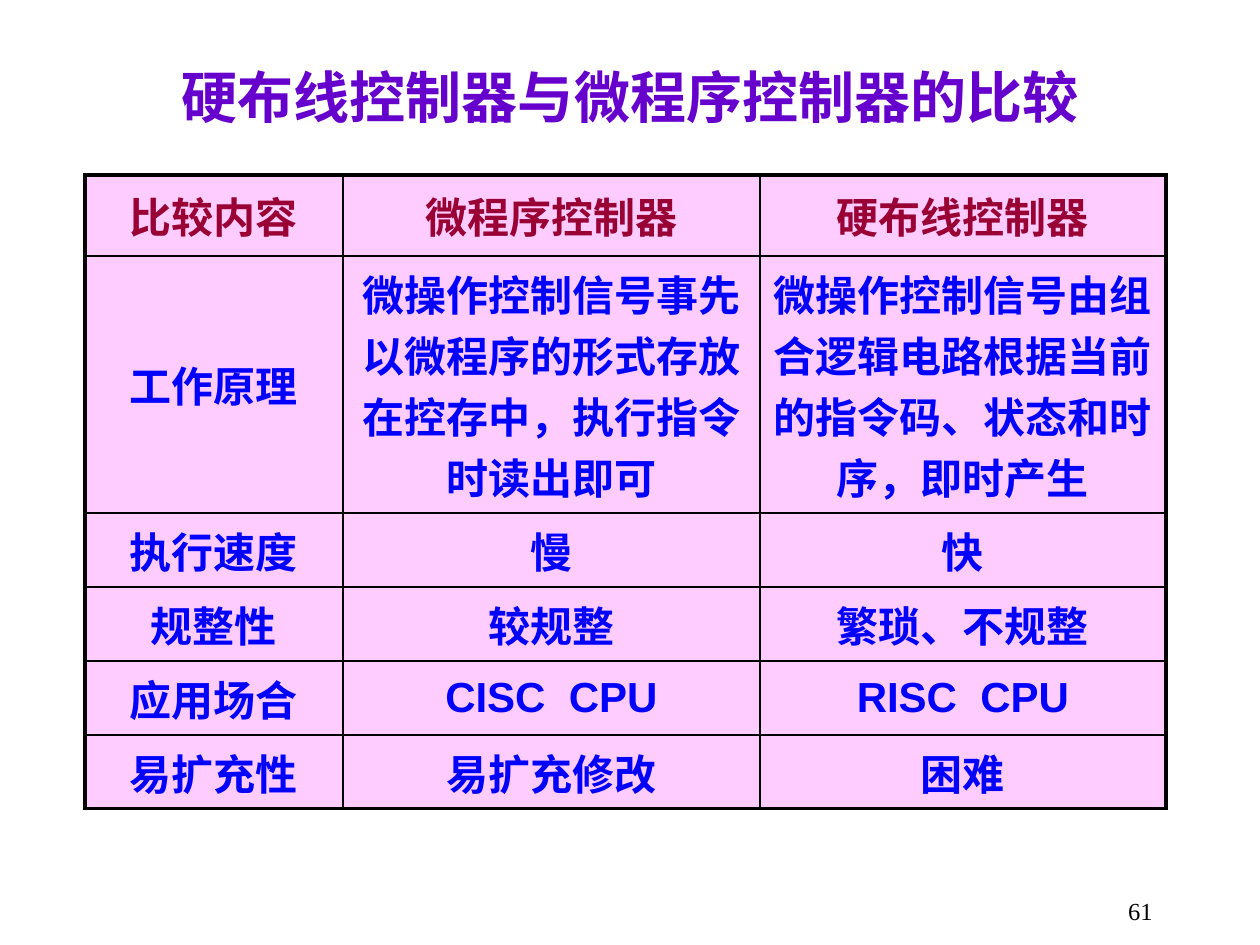
import lxml.etree
import pptx
import pptx.dml.color
import pptx.enum.text
import pptx.oxml.ns
import pptx.util

PX = 914400 // 126
CJK_FONT = "Noto Sans CJK SC"
OUTER_BORDER, INNER_BORDER = 2.25, 1
ALIGN = pptx.enum.text.PP_ALIGN
MIDDLE = pptx.enum.text.MSO_ANCHOR.MIDDLE

COLUMN_WIDTHS = [258, 417, 406]
ROW_HEIGHTS = [81, 257] + [74] * 4
COMPARISON = [
    ["比较内容", "微程序控制器", "硬布线控制器"],
    ["工作原理", "微操作控制信号事先以微程序的形式存放在控存中，执行指令时读出即可",
     "微操作控制信号由组合逻辑电路根据当前的指令码、状态和时序，即时产生"],
    ["执行速度", "慢", "快"],
    ["规整性", "较规整", "繁琐、不规整"],
    ["应用场合", "CISC  CPU", "RISC  CPU"],
    ["易扩充性", "易扩充修改", "困难"],
]


def color(value):
    return pptx.dml.color.RGBColor.from_string(value)


def to_emu(box):
    return [length * PX for length in box]


def write(text_frame, text, size, font_name, font_color, alignment, bold=False):
    paragraph = text_frame.paragraphs[0]
    paragraph.text = text
    paragraph.alignment = alignment
    font = paragraph.font
    font.size = pptx.util.Pt(size)
    font.name = font_name
    font.bold = bold
    font.color.rgb = color(font_color)
    # East Asian typeface for the Chinese characters
    properties = paragraph._p.pPr.find(pptx.oxml.ns.qn("a:defRPr"))
    lxml.etree.SubElement(properties, pptx.oxml.ns.qn("a:ea"), typeface=CJK_FONT)


def add_text(slide, box, *style, anchor=None, **options):
    text_frame = slide.shapes.add_textbox(*to_emu(box)).text_frame
    text_frame.word_wrap = True
    text_frame.vertical_anchor = anchor
    write(text_frame, *style, **options)


def set_borders(cell, widths):
    properties = cell._tc.get_or_add_tcPr()
    for side, width in widths.items():
        line = lxml.etree.SubElement(properties, pptx.oxml.ns.qn(f"a:ln{side}"),
                                     w=str(pptx.util.Pt(width)))
        fill = lxml.etree.SubElement(line, pptx.oxml.ns.qn("a:solidFill"))
        lxml.etree.SubElement(fill, pptx.oxml.ns.qn("a:srgbClr"), val="000000")


def add_comparison_table(slide, left, top):
    last_row, last_column = len(ROW_HEIGHTS) - 1, len(COLUMN_WIDTHS) - 1
    box = (left, top, sum(COLUMN_WIDTHS), sum(ROW_HEIGHTS))
    table = slide.shapes.add_table(last_row + 1, last_column + 1, *to_emu(box)).table
    for column, width in zip(table.columns, COLUMN_WIDTHS):
        column.width = width * PX
    for row, height in zip(table.rows, ROW_HEIGHTS):
        row.height = height * PX

    for row_index, texts in enumerate(COMPARISON):
        for column_index, text in enumerate(texts):
            cell = table.cell(row_index, column_index)
            on_edge = {"L": column_index == 0, "R": column_index == last_column,
                       "T": row_index == 0, "B": row_index == last_row}
            set_borders(cell, {side: OUTER_BORDER if outer else INNER_BORDER
                               for side, outer in on_edge.items()})
            cell.fill.solid()
            cell.fill.fore_color.rgb = color("FFCCFF")
            cell.vertical_anchor = MIDDLE
            write(cell.text_frame, text, 24, "Arial",
                  "990033" if row_index == 0 else "0000FF", ALIGN.CENTER, bold=True)


def main():
    presentation = pptx.Presentation()
    presentation.slide_width = 1260 * PX
    presentation.slide_height = 945 * PX
    slide = presentation.slides.add_slide(presentation.slide_layouts[6])

    # Title
    add_text(slide, (95, 46, 1071, 101), "硬布线控制器与微程序控制器的比较",
             32, CJK_FONT, "6600CC", ALIGN.CENTER, bold=True, anchor=MIDDLE)
    # Comparison of the two controllers
    add_comparison_table(slide, 85, 175)
    # Page number
    add_text(slide, (903, 890, 262, 35), "61", 14, "Times New Roman", "000000", ALIGN.RIGHT)

    presentation.save("out.pptx")


if __name__ == "__main__":
    main()
